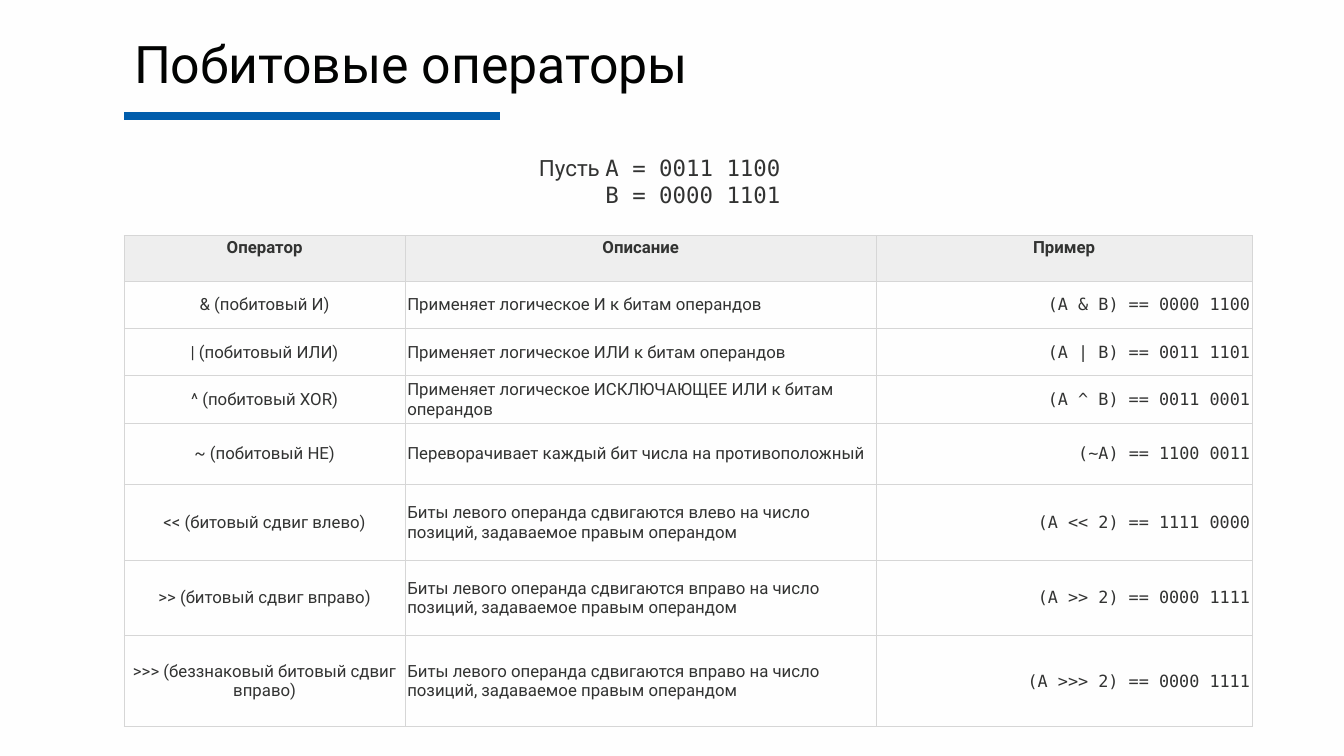
from dataclasses import dataclass
from lxml.etree import SubElement as Sub
from pptx import Presentation
from pptx.dml.color import RGBColor as Rgb
from pptx.enum.text import MSO_ANCHOR as Anchor, MSO_AUTO_SIZE as Fit, PP_ALIGN as Align
from pptx.oxml.ns import qn
from pptx.util import Inches as In, Pt


@dataclass(frozen=True)
class Theme:
    back: str = "FEFEFE"
    head: str = "EEEEEE"
    grid: str = "D6D6D6"
    bar: str = "015DAC"
    dark: str = "020302"
    ink: str = "323332"
    sans: str = "Roboto"
    mono: str = "DejaVu Sans Mono"
    title: int = 37
    note: int = 16
    cell: int = 12


look = Theme()


def write(par, text, size=look.cell, font=look.sans, color=look.ink, bold=False, align=Align.LEFT):
    par.alignment = align
    run = par.add_run()
    run.text = text
    run.font.size = Pt(size)
    run.font.name = font
    run.font.bold = bold
    run.font.color.rgb = Rgb.from_string(color)


def edge(cell):
    props = cell._tc.get_or_add_tcPr()
    for side in ("lnL", "lnR", "lnT", "lnB"):
        line = Sub(props, qn(f"a:{side}"), w=str(Pt(0.75)))
        Sub(Sub(line, qn("a:solidFill")), qn("a:srgbClr"), val=look.grid)


deck = Presentation()
deck.slide_width, deck.slide_height = In(13.33), In(7.5)
slide = deck.slides.add_slide(deck.slide_layouts[5])
slide.background.fill.solid()
slide.background.fill.fore_color.rgb = Rgb.from_string(look.back)

left, wide = In(1.23), In(10.64)
cols = [In(w) for w in (2.79, 4.67, 3.73)]
rows = [In(h) for h in (0.45, 0.47, 0.47, 0.47, 0.61, 0.75, 0.75, 0.9)]

bar = slide.shapes.add_connector(1, left, In(1.15), left + sum(cols) // 3, In(1.15))
bar.line.color.rgb = Rgb.from_string(look.bar)
bar.line.width = Pt(6)
Sub(bar._element.spPr, qn("a:effectLst"))

title = slide.shapes.title
title.left, title.top, title.width, title.height = left, In(0.4), wide, In(0.6)
frame = title.text_frame
frame.auto_size = Fit.NONE
frame.vertical_anchor = Anchor.MIDDLE
frame.paragraphs[0].line_spacing = 0.7
write(frame.paragraphs[0], "Побитовые операторы", size=look.title, color=look.dark)

note = slide.shapes.add_textbox(left, In(1.48), wide, In(0.64)).text_frame
note.word_wrap = True
note.margin_left = note.margin_top = note.margin_bottom = In(0.05)
note.margin_right = In(4.13)
first, second = note.paragraphs[0], note.add_paragraph()
write(first, "Пусть ", size=look.note, align=Align.RIGHT)
write(first, "A = 0011 1100", size=look.note, font=look.mono, align=Align.RIGHT)
write(second, "B = 0000 1101", size=look.note, font=look.mono, align=Align.RIGHT)

shift = "Биты левого операнда сдвигаются {} на число позиций, задаваемое правым операндом"
data = [
    ("Оператор", "Описание", "Пример"),
    ("& (побитовый И)", "Применяет логическое И к битам операндов", "(A & B) == 0000 1100"),
    ("| (побитовый ИЛИ)", "Применяет логическое ИЛИ к битам операндов", "(A | B) == 0011 1101"),
    ("^ (побитовый XOR)", "Применяет логическое ИСКЛЮЧАЮЩЕЕ ИЛИ к битам операндов", "(A ^ B) == 0011 0001"),
    ("~ (побитовый НЕ)", "Переворачивает каждый бит числа на противоположный", "(~A) == 1100 0011"),
    ("<< (битовый сдвиг влево)", shift.format("влево"), "(A << 2) == 1111 0000"),
    (">> (битовый сдвиг вправо)", shift.format("вправо"), "(A >> 2) == 0000 1111"),
    (">>> (беззнаковый битовый сдвиг вправо)", shift.format("вправо"), "(A >>> 2) == 0000 1111"),
]
table = slide.shapes.add_table(len(rows), len(cols), left, In(2.34), sum(cols), sum(rows)).table
table.first_row = table.horz_banding = False
for col, width in zip(table.columns, cols):
    col.width = width
for row, height in zip(table.rows, rows):
    row.height = height

sides = (Align.CENTER, Align.LEFT, Align.RIGHT)
fonts = (look.sans, look.sans, look.mono)
for r, line in enumerate(data):
    top = r == 0
    for c, text in enumerate(line):
        cell = table.cell(r, c)
        edge(cell)
        cell.fill.solid()
        cell.fill.fore_color.rgb = Rgb.from_string(look.head if top else look.back)
        cell.margin_left = cell.margin_right = cell.margin_top = cell.margin_bottom = In(0.02)
        cell.vertical_anchor = Anchor.TOP if top else Anchor.MIDDLE
        write(cell.text_frame.paragraphs[0], text, bold=top,
              font=look.sans if top else fonts[c], align=Align.CENTER if top else sides[c])

deck.save("out.pptx")
